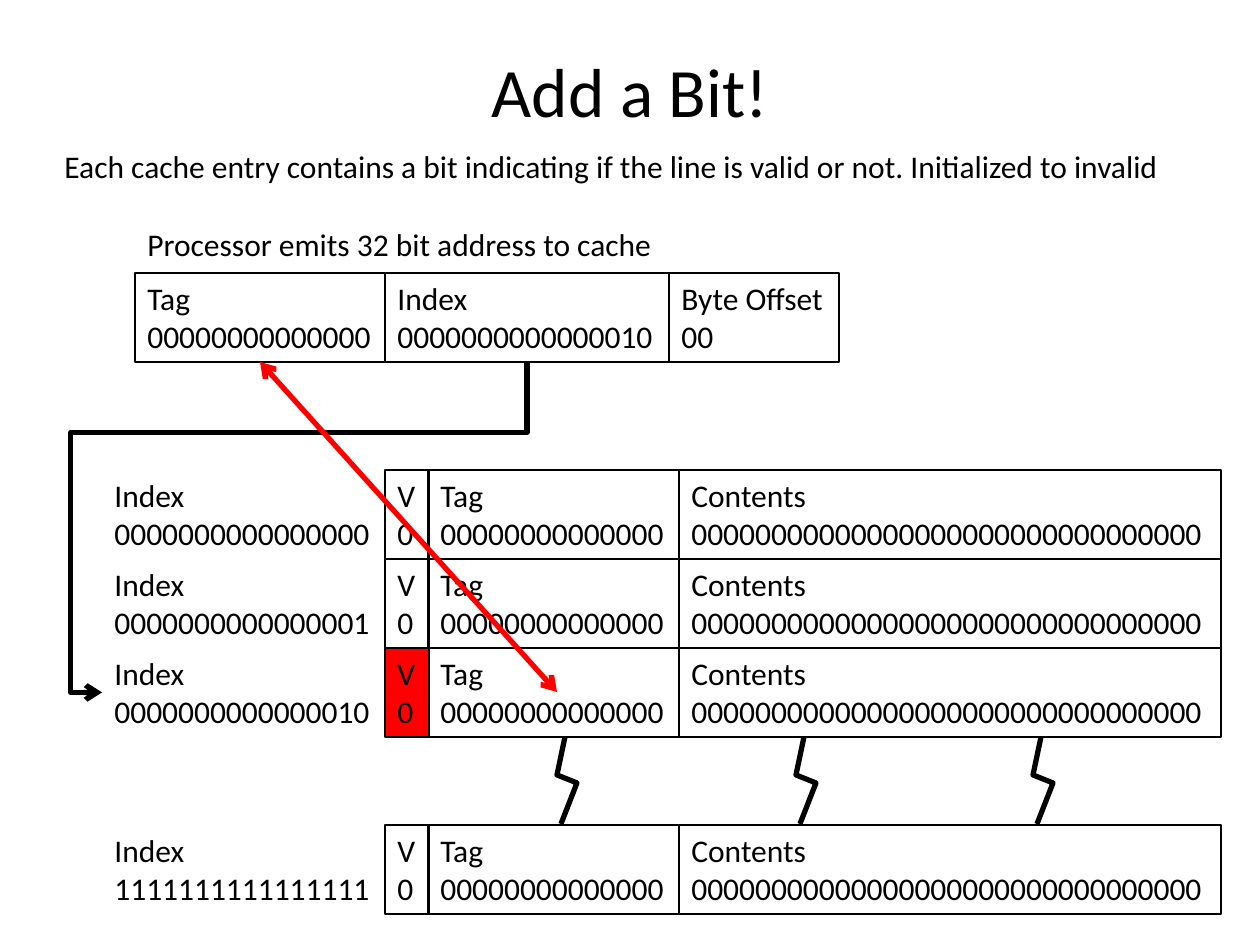
from lxml.etree import SubElement
from pptx import Presentation
from pptx.dml.color import RGBColor
from pptx.enum.shapes import MSO_CONNECTOR as Connector, MSO_SHAPE as Shape
from pptx.enum.text import MSO_ANCHOR as Anchor, MSO_AUTO_SIZE as AutoSize, PP_ALIGN as Align
from pptx.oxml.ns import qn
from pptx.util import Emu, Inches, Pt

BLACK = RGBColor(0, 0, 0)
RED = RGBColor(0xFF, 0, 0)

PX_PER_INCH = 126
ROW_HEIGHT = 89
ADDRESS_TOP = 273
CACHE_TOP = 470
LAST_TOP = 825
TAG_BITS = "0" * 14
CONTENT_BITS = "0" * 32


def px(length):
    return Emu(round(length * Inches(1) / PX_PER_INCH))


class SlideBuilder:
    def __init__(self, slide):
        self.slide = slide
        self.shapes = slide.shapes
        self.font = {"name": "Calibri", "size": Pt(18)}

    def add_lines(self, frame, lines, align=Align.LEFT, **changes):
        for number, line in enumerate(lines):
            para = frame.paragraphs[0] if number == 0 else frame.add_paragraph()
            para.alignment = align
            span = para.add_run()
            span.text = line
            for name, value in {**self.font, **changes}.items():
                setattr(span.font, name, value)
            span.font.color.rgb = BLACK

    def title(self, text, left, top, width, height):
        box = self.shapes.title
        place = {"left": left, "top": top, "width": width, "height": height}
        for name, value in place.items():
            setattr(box, name, px(value))
        box.text_frame.vertical_anchor = Anchor.MIDDLE
        self.add_lines(box.text_frame, [text], Align.CENTER, size=Pt(39.6))

    def fit(self, box, lines):
        """Fill a box with unwrapped lines from its top left corner."""
        settings = {
            "word_wrap": False,
            "auto_size": AutoSize.SHAPE_TO_FIT_TEXT,
            "vertical_anchor": Anchor.TOP,
        }
        for name, value in settings.items():
            setattr(box.text_frame, name, value)
        self.add_lines(box.text_frame, lines)
        return box

    def label(self, lines, left, top, width, height):
        box = self.shapes.add_textbox(px(left), px(top), px(width), px(height))
        return self.fit(box, lines)

    def field(self, lines, left, top, width, fill=None):
        box = self.shapes.add_shape(
            Shape.RECTANGLE, px(left), px(top), px(width), px(ROW_HEIGHT))
        box.shadow.inherit = False
        if fill is None:
            box.fill.background()
        else:
            box.fill.solid()
            box.fill.fore_color.rgb = fill
        self.outline(box, BLACK, 0.75)
        return self.fit(box, lines)

    def outline(self, shape, color, width):
        shape.line.color.rgb = color
        shape.line.width = Pt(width)

    def connector(self, kind, start, end, color, arrow_ends):
        line = self.shapes.add_connector(kind, *map(px, start + end))
        self.outline(line, color, 3)
        properties = line._element.spPr
        for end_name in arrow_ends:
            SubElement(properties.find(qn("a:ln")), qn(f"a:{end_name}"), type="arrow")
        SubElement(properties, qn("a:effectLst"))
        return line

    def route_down_and_back(self, line, adjustments):
        """Turn an elbow into a quarter-turned four-part one, end points kept."""
        width, height = line.width, line.height
        shift = (width - height) // 2
        place = {
            "left": line.left + shift, "top": line.top - shift,
            "width": height, "height": width,
        }
        for name, value in place.items():
            setattr(line, name, value)
        properties = line._element.spPr
        transform = properties.find(qn("a:xfrm"))
        transform.attrib.pop("flipH", None)
        transform.set("rot", str(90 * 60000))
        geometry = properties.find(qn("a:prstGeom"))
        geometry.set("prst", "bentConnector4")
        guides = geometry.find(qn("a:avLst"))
        for number, value in enumerate(adjustments, 1):
            SubElement(guides, qn("a:gd"), name=f"adj{number}", fmla=f"val {value}")

    def break_mark(self, left, top):
        """Draw the zigzag that stands for the rows left out."""
        points = [(px(left + x), px(top + y))
                  for x, y in [(8, 0), (0, 38), (20, 46), (4, 87)]]
        builder = self.shapes.build_freeform(*points[0])
        builder.add_line_segments(points[1:], close=False)
        mark = builder.convert_to_shape()
        mark.shadow.inherit = False
        mark.fill.background()
        self.outline(mark, BLACK, 3)

    def cache_row(self, index, top, valid_fill=None):
        index_label = self.label(["Index", index], 102, top, 284, ROW_HEIGHT)
        self.field(["Tag", TAG_BITS], 428, top, 251)
        self.field(["Contents", CONTENT_BITS], 679, top, 542)
        self.field(["V", "0"], 385, top, 44, valid_fill)
        return index_label


def main():
    deck = Presentation()
    deck.slide_width, deck.slide_height = Inches(10), Inches(7.5)
    page = SlideBuilder(deck.slides.add_slide(deck.slide_layouts[5]))

    page.title("Add a Bit!", 63, 38, 1134, 103)
    page.label(["Each cache entry contains a bit indicating if the line is valid "
                "or not. Initialized to invalid"], 52, 141, 1134, 50)
    page.label(["Processor emits 32 bit address to cache"], 135, 219, 536, 50)

    address_tag = page.field(["Tag", TAG_BITS], 135, ADDRESS_TOP, 250)
    address_index = page.field(["Index", "0000000000000010"], 385, ADDRESS_TOP, 284)
    page.field(["Byte Offset", "00"], 669, ADDRESS_TOP, 170)

    rows = [("0000000000000000", None), ("0000000000000001", None),
            ("0000000000000010", RED)]
    for number, (index, fill) in enumerate(rows):
        selected_index = page.cache_row(index, CACHE_TOP + number * ROW_HEIGHT, fill)
    page.cache_row("1111111111111111", LAST_TOP)

    for left in (557, 796, 1033):
        page.break_mark(left, CACHE_TOP + len(rows) * ROW_HEIGHT)

    lookup = page.connector(Connector.ELBOW, (527, 362), (102, 692), BLACK, ["tailEnd"])
    lookup.begin_connect(address_index, 2)
    lookup.end_connect(selected_index, 1)
    page.route_down_and_back(lookup, [21300, 107400])

    compare = page.connector(Connector.STRAIGHT, (260, 362), (557, 692), RED,
                             ["headEnd", "tailEnd"])
    compare.begin_connect(address_tag, 2)

    deck.save("out.pptx")


if __name__ == "__main__":
    main()
